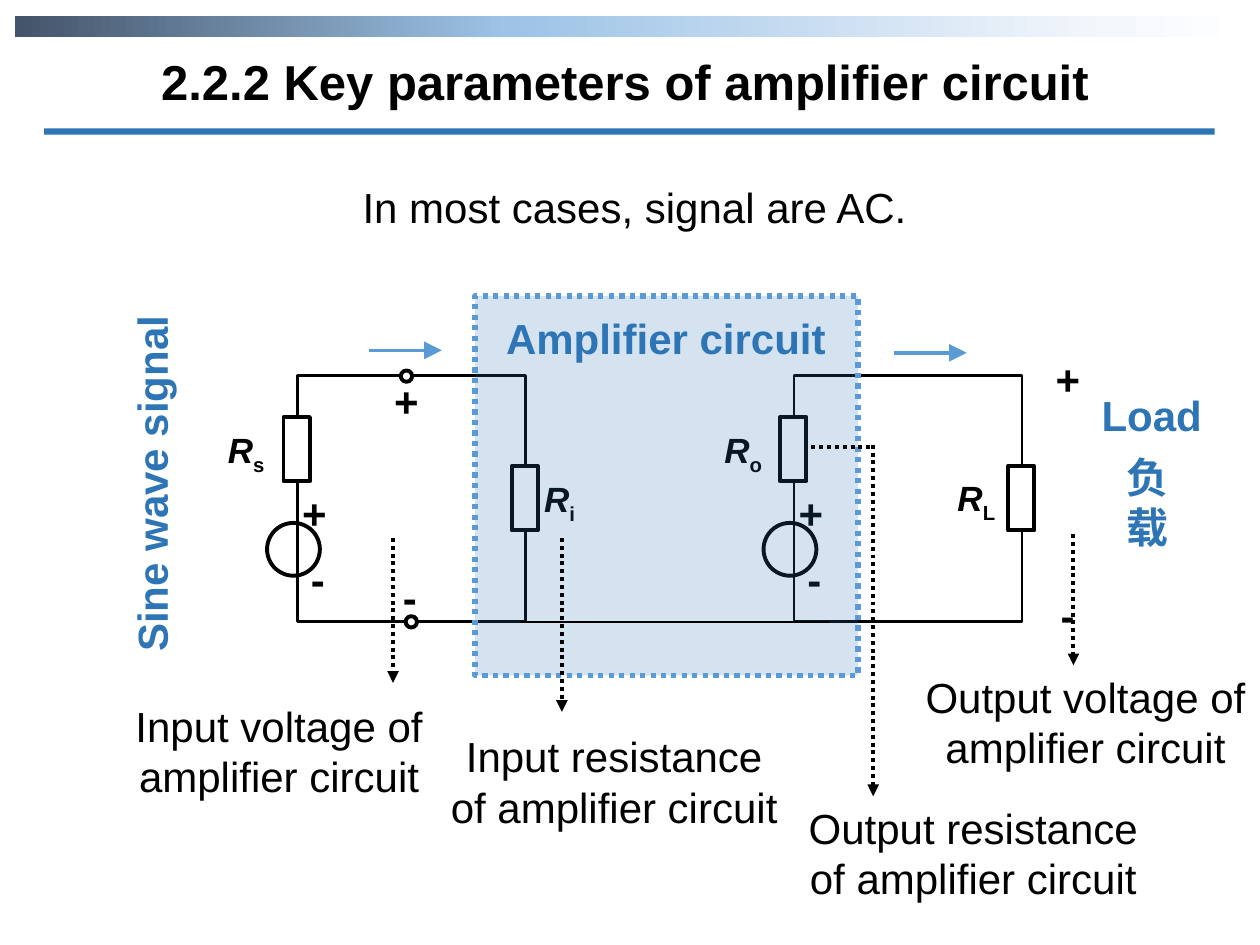
from dataclasses import dataclass

from lxml.etree import SubElement
from pptx import Presentation
from pptx.dml.color import RGBColor
from pptx.enum.dml import MSO_LINE
from pptx.enum.shapes import MSO_CONNECTOR, MSO_SHAPE
from pptx.enum.text import MSO_ANCHOR, PP_ALIGN
from pptx.oxml.ns import qn
from pptx.util import Pt


@dataclass(frozen=True)
class Theme:
    black: str = "000000"
    white: str = "FFFFFF"
    blue: str = "2E75B6"
    light: str = "5B9BD5"
    fade: tuple = ((0, "44546A"), (40, "9DC3E6"), (89, "F4F7FC"), (100, "FFFFFF"))
    face: str = "Arial"
    asian: str = "Noto Sans CJK SC"
    head: int = 28
    body: int = 24
    small: int = 20
    thin: float = 1.5
    thick: float = 2.25


THEME = Theme()
STEP = 283.7  # from the input loop to the output loop


def rgb(code):
    return RGBColor.from_string(code)


def pts(*nums):
    return [Pt(num) for num in nums]


def style(para, size, color, bold, face=THEME.face):
    font = para.font
    font.name, font.size, font.bold = face, Pt(size), bold
    font.color.rgb = rgb(color)


def label(home, text, spot, color=THEME.black, bold=False, align=PP_ALIGN.CENTER,
          face=THEME.face):
    box = home.add_textbox(*pts(*spot))
    box.text_frame.word_wrap = True
    para = box.text_frame.paragraphs[0]
    para.text, para.alignment = text, align
    style(para, THEME.body, color, bold, face)
    if face != THEME.face:
        SubElement(para._p.pPr.find(qn("a:defRPr")), qn("a:ea"), typeface=face)
    return box


def sign(home, text, left, top):
    label(home, text, (left, top, 24.5 if text == "+" else 19.4, 36),
          bold=True, align=PP_ALIGN.LEFT)


def symbol(home, sub, left, top):
    """Write an italic R with a subscript."""
    box = home.add_textbox(*pts(left, top, 46, 37.4))
    box.text_frame.word_wrap = True
    para = box.text_frame.paragraphs[0]
    style(para, THEME.small, THEME.black, True)
    for text in ("R", sub):
        run = para.add_run()
        run.text, run.font.italic = text, text == "R"
    run._r.get_or_add_rPr().set("baseline", "-25000")


def shape(home, kind, spot, fill=None, line=None, width=THEME.thick):
    item = home.add_shape(kind, *pts(*spot))
    item.shadow.inherit = False
    if fill:
        item.fill.solid()
        item.fill.fore_color.rgb = rgb(fill)
    else:
        item.fill.background()
    if line:
        item.line.color.rgb = rgb(line)
        item.line.width = Pt(width)
    else:
        item.line.fill.background()
    return item


def ring(home, left, top, size, fill=None):
    shape(home, MSO_SHAPE.OVAL, (left, top, size, size), fill, THEME.black)


def resist(home, left, top):
    """Draw a resistor turned upright."""
    item = shape(home, MSO_SHAPE.RECTANGLE, (left, top, 36.7, 15.1),
                 THEME.white, THEME.black)
    item.rotation = 270


def wire(home, ends, color=THEME.black, width=THEME.thick, dots=True, tip=None):
    item = home.add_connector(MSO_CONNECTOR.STRAIGHT, *pts(*ends))
    item.line.color.rgb = rgb(color)
    item.line.width = Pt(width)
    if dots:
        item.line.dash_style = MSO_LINE.ROUND_DOT
    if tip:
        SubElement(item._element.spPr.find(qn("a:ln")), qn("a:tailEnd"),
                   type="triangle", w=tip, len=tip)
    SubElement(item._element.spPr, qn("a:effectLst"))


def loop(home, sub, dx):
    """Draw a source with its resistor and the load across it."""
    shape(home, MSO_SHAPE.RECTANGLE, (170 + dx, 214.6, 130.3, 140.4),
          line=THEME.black, width=THEME.thin)
    symbol(home, sub, 123.1 + dx, 241.2)
    ring(home, 152.6 + dx, 298.8, 30.2)
    sign(home, "+", 165.6 + dx, 275)
    sign(home, "-", 170.6 + dx, 312.5)
    resist(home, 151.2 + dx, 249.1)
    resist(home, 281.5 + dx, 277.2)


def band(home):
    item = shape(home, MSO_SHAPE.RECTANGLE, (8.6, 9.4, 702.7, 11.5))
    item.fill.gradient()
    item.fill.gradient_angle = 0
    stops = item._element.spPr.find(".//" + qn("a:gsLst"))
    for old in list(stops):
        stops.remove(old)
    for place, code in THEME.fade:
        stop = SubElement(stops, qn("a:gs"), pos=str(place * 1000))
        SubElement(stop, qn("a:srgbClr"), val=code)


def title(slide):
    box = slide.shapes.title
    box.left, box.top, box.width, box.height = pts(48.2, 25.9, 617.8, 41)
    box.text_frame.vertical_anchor = MSO_ANCHOR.TOP
    para = box.text_frame.paragraphs[0]
    para.text = "2.2.2 Key parameters of amplifier circuit"
    para.alignment = PP_ALIGN.CENTER
    style(para, THEME.head, THEME.black, True)


def stage(home):
    """Draw the tinted frame of the amplifier."""
    item = shape(home, MSO_SHAPE.RECTANGLE, (271.4, 169.2, 218.9, 216.7),
                 THEME.blue, THEME.light, 3)
    item.line.dash_style = MSO_LINE.ROUND_DOT
    tint = item._element.spPr.find(qn("a:solidFill"))[0]
    SubElement(tint, qn("a:alpha"), val="20000")


def main():
    deck = Presentation()
    deck.slide_width, deck.slide_height = pts(720, 540)
    slide = deck.slides.add_slide(deck.slide_layouts[5])
    home = slide.shapes
    title(slide)
    band(home)

    left = home.add_group_shape().shapes
    loop(left, "s", 0)
    for x, y in ((231.8, 352.1), (229, 211.7)):
        ring(left, x, y, 6.5, THEME.white)
    symbol(left, "i", 303.8, 269.3)
    sign(left, "+", 218.2, 211)
    sign(left, "-", 223.2, 323.3)

    right = home.add_group_shape().shapes
    loop(right, "o", STEP)
    symbol(right, "L", 540, 268.6)
    sign(right, "+", 596.2, 198.7)
    sign(right, "-", 599, 333.4)

    stage(home)
    shape(home, MSO_SHAPE.RECTANGLE, (25.2, 73.4, 668.9, 3.6), THEME.blue)
    wire(home, (297.4, 355.5, 473.8, 355.5), width=THEME.thin, dots=False)
    for x, y in ((211, 200.2), (511, 201.6)):
        wire(home, (x, y, x + 41.5, y), THEME.light, 2, False, "lg")

    label(home, "负载", (630, 254.2, 51.1, 63.4), THEME.blue, True, face=THEME.asian)
    label(home, "Load", (619.2, 218.9, 77.8, 36), THEME.blue, True)
    label(home, "Amplifier circuit", (238.3, 175, 284.4, 36), THEME.blue, True)
    side = label(home, "Sine wave signal", (-24.5, 258.5, 221.8, 36), THEME.blue, True)
    side.rotation = 270
    label(home, "In most cases, signal are AC.", (190.1, 100.1, 344.9, 36))

    notes = (
        ("Input voltage", 54.7, 396.7, 224.6, 307.4, 390.2),
        ("Input resistance", 246.2, 414, 321.1, 307.4, 406.8),
        ("Output voltage", 515.5, 380.2, 613.4, 305.3, 380.2),
        ("Output resistance", 451.4, 455, 499, 254.2, 455),
    )
    for term, x, y, mid, start, end in notes:
        wire(home, (mid, start, mid, end), tip="med")
        label(home, f"{term} of amplifier circuit", (x, y, 209.5, 63.4))
    wire(home, (463.7, 255.6, 499, 255.6))

    deck.save("out.pptx")


if __name__ == "__main__":
    main()
